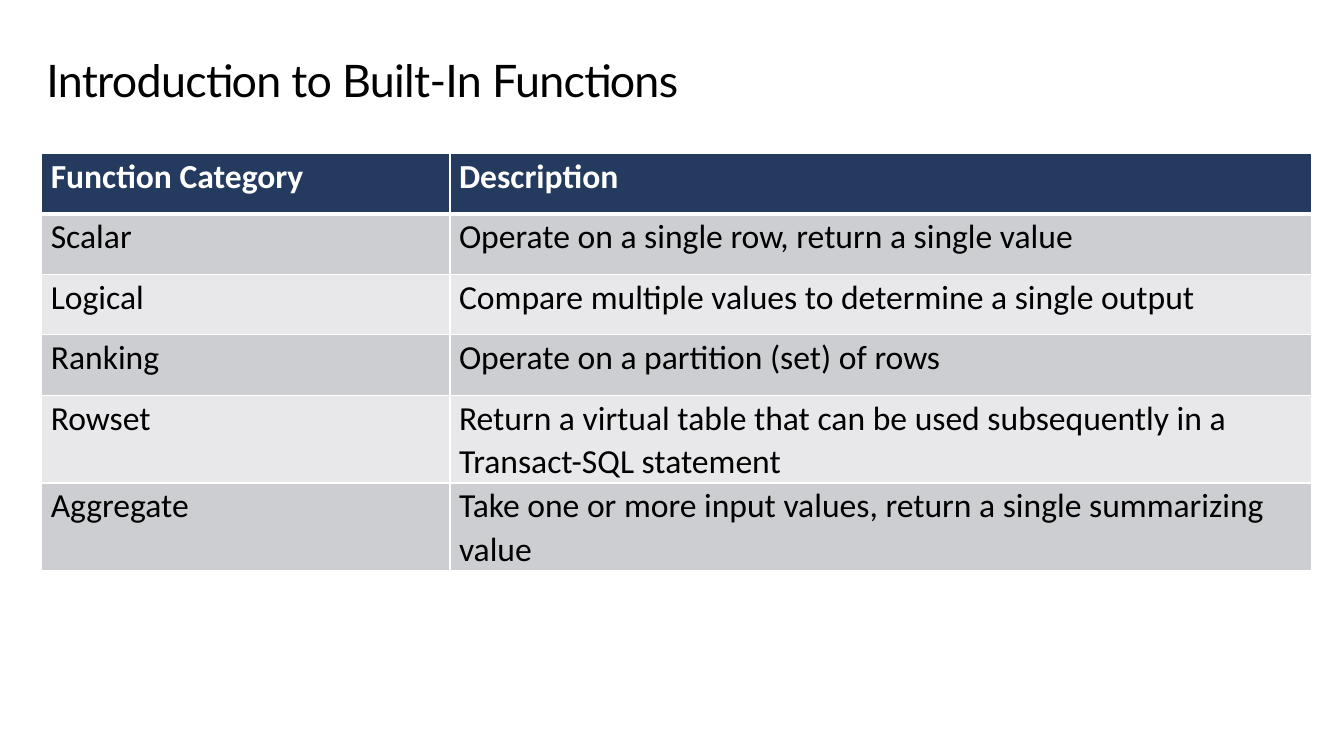
from lxml.etree import SubElement
from pptx import Presentation
from pptx.dml.color import RGBColor as Rgb
from pptx.enum.text import MSO_ANCHOR as Anchor, PP_ALIGN as Align
from pptx.oxml.ns import qn
from pptx.util import Pt

COLORS = {
    "header": "243A5E",
    "dark_band": "CDCED2",
    "light_band": "E8E8EA",
    "white": "FFFFFF",
    "black": "000000",
}
CATEGORIES = [
    ("Function Category", "Description"),
    ("Scalar", "Operate on a single row, return a single value"),
    ("Logical", "Compare multiple values to determine a single output"),
    ("Ranking", "Operate on a partition (set) of rows"),
    ("Rowset", "Return a virtual table that can be used subsequently in a Transact-SQL statement"),
    ("Aggregate", "Take one or more input values, return a single summarizing value"),
]


class SlideBuilder:
    title_font, title_size = "Lato", 32
    body_font, body_size = "Calibri", 24

    def __init__(self, slide):
        self.slide = slide

    def add_text(self, frame, text, font, size, color, spacing, bold=False):
        paragraph = frame.paragraphs[0]
        paragraph.alignment = Align.LEFT
        paragraph.line_spacing = spacing
        run = paragraph.add_run()
        run.text = text
        run.font.name = font
        run.font.size = Pt(size)
        run.font.bold = bold
        run.font.color.rgb = Rgb.from_string(COLORS[color])
        return run

    def title(self, text, left, top, width, height):
        heading = self.slide.shapes.title
        heading.left, heading.top = Pt(left), Pt(top)
        heading.width, heading.height = Pt(width), Pt(height)
        frame = heading.text_frame
        frame.word_wrap = True
        frame.vertical_anchor = Anchor.TOP
        frame.margin_left, frame.margin_right = 0, Pt(11.5)
        frame.margin_top = frame.margin_bottom = Pt(7.2)
        run = self.add_text(frame, text, self.title_font, self.title_size, "black", 0.9)
        run._r.get_or_add_rPr().set("spc", "-50")

    def borders(self, cell, widths):
        properties = cell._tc.get_or_add_tcPr()
        for side, width in widths.items():
            line = SubElement(properties, qn(f"a:ln{side}"), w=str(Pt(width)))
            fill = SubElement(line, qn("a:solidFill"))
            SubElement(fill, qn("a:srgbClr"), val=COLORS["white"])

    def cell(self, cell, text, row):
        header = row == 0
        self.borders(cell, {"L": 1, "R": 1, "T": 3 if row == 1 else 1, "B": 3 if header else 1})
        band = "header" if header else ("light_band", "dark_band")[row % 2]
        cell.fill.solid()
        cell.fill.fore_color.rgb = Rgb.from_string(COLORS[band])
        cell.margin_left = cell.margin_right = Pt(6.5)
        cell.margin_top = cell.margin_bottom = 0
        cell.vertical_anchor = Anchor.TOP
        color = "white" if header else "black"
        self.add_text(cell.text_frame, text, self.body_font, self.body_size, color, 1.07, header)

    def table(self, rows, left, top, widths, row_height):
        table = self.slide.shapes.add_table(
            len(rows), len(widths), Pt(left), Pt(top), Pt(sum(widths)), Pt(row_height * len(rows))
        ).table
        for column, width in zip(table.columns, widths):
            column.width = Pt(width)
        for row, texts in enumerate(rows):
            for column, text in enumerate(texts):
                self.cell(table.cell(row, column), text, row)


def main():
    deck = Presentation()
    deck.slide_width, deck.slide_height = Pt(960), Pt(540)
    builder = SlideBuilder(deck.slides.add_slide(deck.slide_layouts[5]))
    builder.title("Introduction to Built-In Functions", 33.1, 34.6, 892.8, 53.3)
    builder.table(CATEGORIES, 29.8, 109.6, (291.6, 615.6), 43.2)
    deck.save("out.pptx")


if __name__ == "__main__":
    main()
